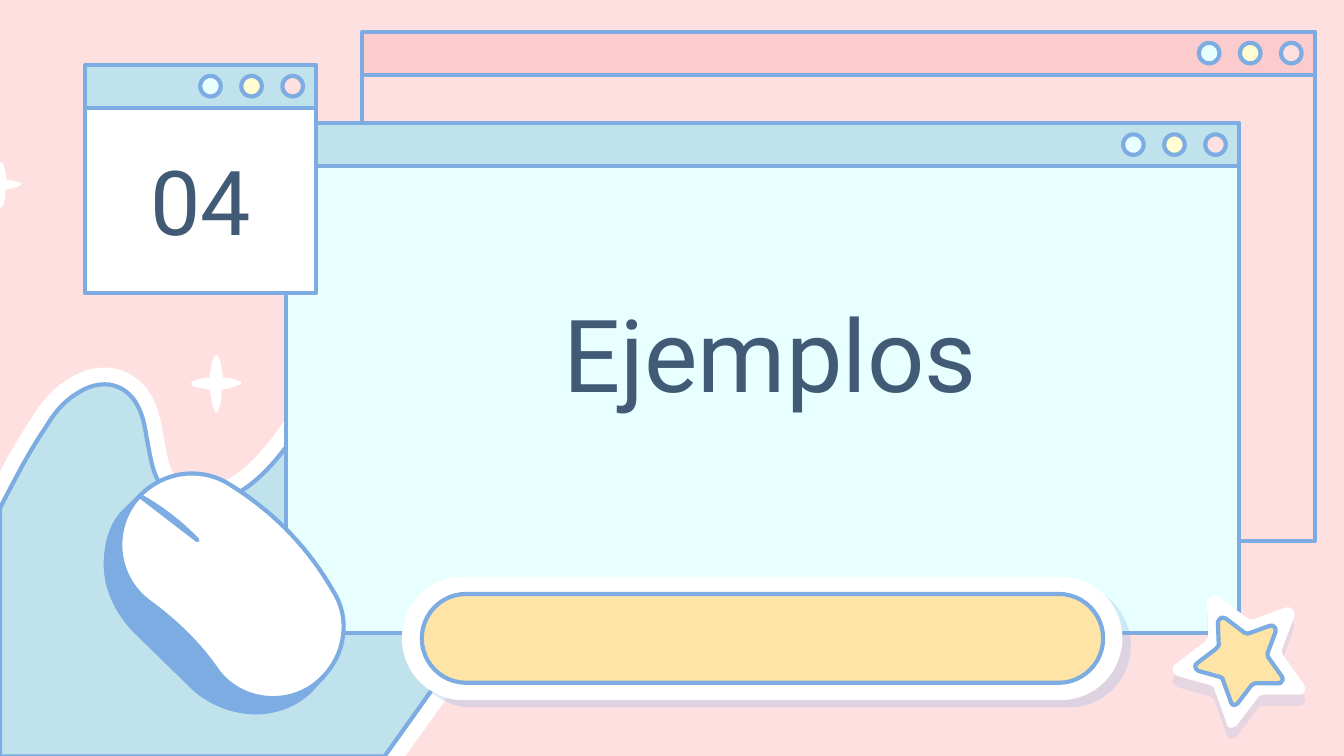
from dataclasses import dataclass
from typing import Optional

import pptx
import pptx.dml.color
import pptx.enum.shapes
import pptx.enum.text
import pptx.util
from lxml import etree
from pptx.oxml.ns import qn

Pt = pptx.util.Pt
Shapes = pptx.enum.shapes.MSO_SHAPE
Anchor = pptx.enum.text.MSO_ANCHOR

PINK, BLUSH, AQUA, SKY = "FFE0E1", "FCCBCD", "E7FFFF", "BFE2EC"
CREAM, YELLOW, WHITE, OUTLINE, INK = "FFFDD1", "FEE4A7", "FFFFFF", "7CACE1", "415A75"
GRID = 0.72  # points per unit of the outlines below
BAR_HEIGHT = 23
DOT_SIZE, DOT_STEP, DOT_TOP, DOT_FROM_RIGHT = 11, 22, 6, 62.2


@dataclass
class Window:
    left: float
    top: float
    width: float
    body_height: float
    body: str
    bar: str


@dataclass
class Shadow:
    alpha: int
    distance: float
    angle: int


# An outline is a start point, then lines (x, y) and curves (x1, y1, x2, y2, x, y).
HILL = [
    (333, 247), (304, 247, 275, 260, 254, 280), (228, 305, 213, 342, 183, 363),
    (173, 370, 160, 375, 148, 375), (139, 375, 130, 372, 123, 365),
    (113, 355, 112, 339, 109, 325), (107, 311, 103, 296, 90, 289),
    (86, 287, 82, 286, 78, 286), (70, 286, 63, 289, 57, 293),
    (47, 299, 40, 308, 34, 318), (21, 337, 11, 357, 0, 378), (0, 563), (286, 563),
    (321, 514, 356, 465, 390, 415), (406, 392, 422, 368, 425, 341),
    (428, 302, 400, 264, 362, 252), (353, 249, 343, 247, 333, 247),
]
MOUSE_SIDE = [
    (105, 368), (241, 503), (230, 515), (220, 524, 208, 529, 194, 530),
    (174, 531, 154, 523, 140, 508), (100, 469), (86, 454, 77, 435, 79, 414),
    (80, 401, 84, 388, 94, 379),
]
MOUSE_TOP = [
    (105, 368), (122, 351, 149, 347, 170, 360), (201, 379, 228, 405, 248, 440),
    (261, 460, 257, 487, 240, 504), (218, 527, 179, 524, 161, 498),
    (147, 478, 130, 462, 111, 448), (85, 429, 82, 391, 105, 368),
]
MOUSE_SLIT = [(104, 369), (104, 369, 126, 380, 147, 402)]
# The star and the sparkle are drawn around their own centre.
STAR = [
    (-20, -49), (-19, -49, -17, -49, -15, -48), (6, -32), (7, -31, 9, -31, 10, -31),
    (35, -40), (39, -41, 42, -37, 41, -33), (32, -9), (32, -7, 32, -5, 33, -4),
    (48, 17), (50, 20, 49, 24, 46, 25), (18, 25), (16, 25, 15, 26, 14, 27),
    (-2, 48), (-6, 51, -9, 49, -9, 47), (-18, 22), (-18, 20, -19, 19, -21, 18),
    (-46, 11), (-50, 9, -51, 4, -47, 2), (-26, -14), (-24, -15, -24, -16, -23, -18),
    (-24, -44), (-23, -46, -22, -48, -20, -49),
]
SPARKLE = [
    (0, -22), (-4, -19, -4, -11, -5, -5), (-9, -5, -14, -4, -18, -2),
    (-19, -2, -19, 0, -18, 1), (-14, 3, -9, 3, -5, 4), (-4, 10, -2, 21, 0, 21),
    (3, 19, 4, 9, 4, 4), (9, 3, 14, 2, 18, 0), (19, -1, 19, -2, 18, -2),
    (14, -4, 9, -5, 5, -5), (4, -11, 3, -21, 0, -22),
]


def rgb(value: str):
    return pptx.dml.color.RGBColor.from_string(value)


def paint(shape, fill: str, line: Optional[str] = OUTLINE, weight: float = 2.25,
          shadow: Optional[Shadow] = None):
    shape.shadow.inherit = False
    shape.fill.solid()
    shape.fill.fore_color.rgb = rgb(fill)
    if line:
        shape.line.color.rgb = rgb(line)
        shape.line.width = Pt(weight)
    else:
        shape.line.fill.background()
    if shadow:
        effects = shape._element.spPr.find(qn("a:effectLst"))
        outer = etree.SubElement(effects, qn("a:outerShdw"), dist=str(Pt(shadow.distance)),
                                 dir=str(shadow.angle * 60000), algn="bl", rotWithShape="0")
        color = etree.SubElement(outer, qn("a:srgbClr"), val=OUTLINE)
        etree.SubElement(color, qn("a:alpha"), val=str(shadow.alpha * 1000))


def add_box(slide, kind, left: float, top: float, width: float, height: float,
            fill: str, **style):
    box = slide.shapes.add_shape(kind, Pt(left), Pt(top), Pt(width), Pt(height))
    paint(box, fill, **style)
    return box


def bend(shape, outline: list):
    """Merge each curve's three line steps into one cubic curve."""
    steps = iter(shape._element.findall(".//" + qn("a:lnTo")))
    for segment in outline[1:]:
        first = next(steps)
        if len(segment) == 6:
            first.tag = qn("a:cubicBezTo")
            for step in (next(steps), next(steps)):
                first.append(step[0])
                step.getparent().remove(step)


def add_outline(slide, outline: list, fill: str, center=(0, 0), scale: float = 1, **style):
    points = [(Pt((center[0] + x * scale) * GRID), Pt((center[1] + y * scale) * GRID))
              for segment in outline for x, y in zip(segment[::2], segment[1::2])]
    builder = slide.shapes.build_freeform(*points[0])
    builder.add_line_segments(points[1:], close=True)
    shape = builder.convert_to_shape()
    bend(shape, outline)
    paint(shape, fill, **style)


def add_window(slide, window: Window):
    add_box(slide, Shapes.RECTANGLE, window.left, window.top + BAR_HEIGHT,
            window.width, window.body_height, window.body)
    add_box(slide, Shapes.RECTANGLE, window.left, window.top,
            window.width, BAR_HEIGHT, window.bar)
    first_dot = window.left + window.width - DOT_FROM_RIGHT
    for index, fill in enumerate((AQUA, CREAM, PINK)):
        add_box(slide, Shapes.OVAL, first_dot + index * DOT_STEP, window.top + DOT_TOP,
                DOT_SIZE, DOT_SIZE, fill)


def add_text(slide, text: str, *, left: float, top: float, width: float, height: float,
             size: float, anchor, color: str = INK, font: str = "Roboto"):
    frame = slide.shapes.add_textbox(Pt(left), Pt(top), Pt(width), Pt(height)).text_frame
    frame.word_wrap = True
    frame.vertical_anchor = anchor
    frame.margin_left = frame.margin_right = frame.margin_top = frame.margin_bottom = Pt(7.2)
    paragraph = frame.paragraphs[0]
    paragraph.alignment = pptx.enum.text.PP_ALIGN.CENTER
    run = paragraph.add_run()
    run.text = text
    run.font.size = Pt(size)
    run.font.name = font
    run.font.color.rgb = rgb(color)


def main():
    deck = pptx.Presentation()
    deck.slide_width, deck.slide_height = Pt(720), Pt(405)
    slide = deck.slides.add_slide(deck.slide_layouts[6])
    slide.background.fill.solid()
    slide.background.fill.fore_color.rgb = rgb(PINK)

    add_outline(slide, HILL, SKY, line=WHITE, weight=18)
    add_outline(slide, HILL, SKY)
    add_outline(slide, SPARKLE, WHITE, center=(1, 138), scale=0.8, line=None)

    for window in (Window(194, 17, 510.5, 250, PINK, BLUSH),
                   Window(153.4, 66, 510.5, 250, AQUA, SKY),
                   Window(45.5, 34.7, 124, 99.3, WHITE, SKY)):
        add_window(slide, window)
    add_text(slide, "Ejemplos", left=176.4, top=38.9, width=472.3, height=189.4,
             size=54, anchor=Anchor.BOTTOM)
    add_text(slide, "04", left=69.1, top=70.6, width=77, height=72.7,
             size=48, anchor=Anchor.MIDDLE)

    button_rim = add_box(slide, Shapes.ROUNDED_RECTANGLE, 215.3, 308.9, 386, 66.2, WHITE,
                         line=None, shadow=Shadow(25, 6, 41))
    button = add_box(slide, Shapes.ROUNDED_RECTANGLE, 226, 318.2, 365, 47.6, YELLOW)
    for pill in (button_rim, button):
        pill.adjustments[0] = 0.5

    for part, fill in ((MOUSE_SIDE, OUTLINE), (MOUSE_TOP, WHITE), (MOUSE_SLIT, OUTLINE)):
        add_outline(slide, part, fill)
    star_center = (922, 492)
    add_outline(slide, STAR, WHITE, center=star_center, line=None, shadow=Shadow(19, 6, 90))
    add_outline(slide, STAR, YELLOW, center=star_center, scale=0.66)
    add_outline(slide, SPARKLE, WHITE, center=(161, 286), line=None)

    deck.save("out.pptx")


if __name__ == "__main__":
    main()
